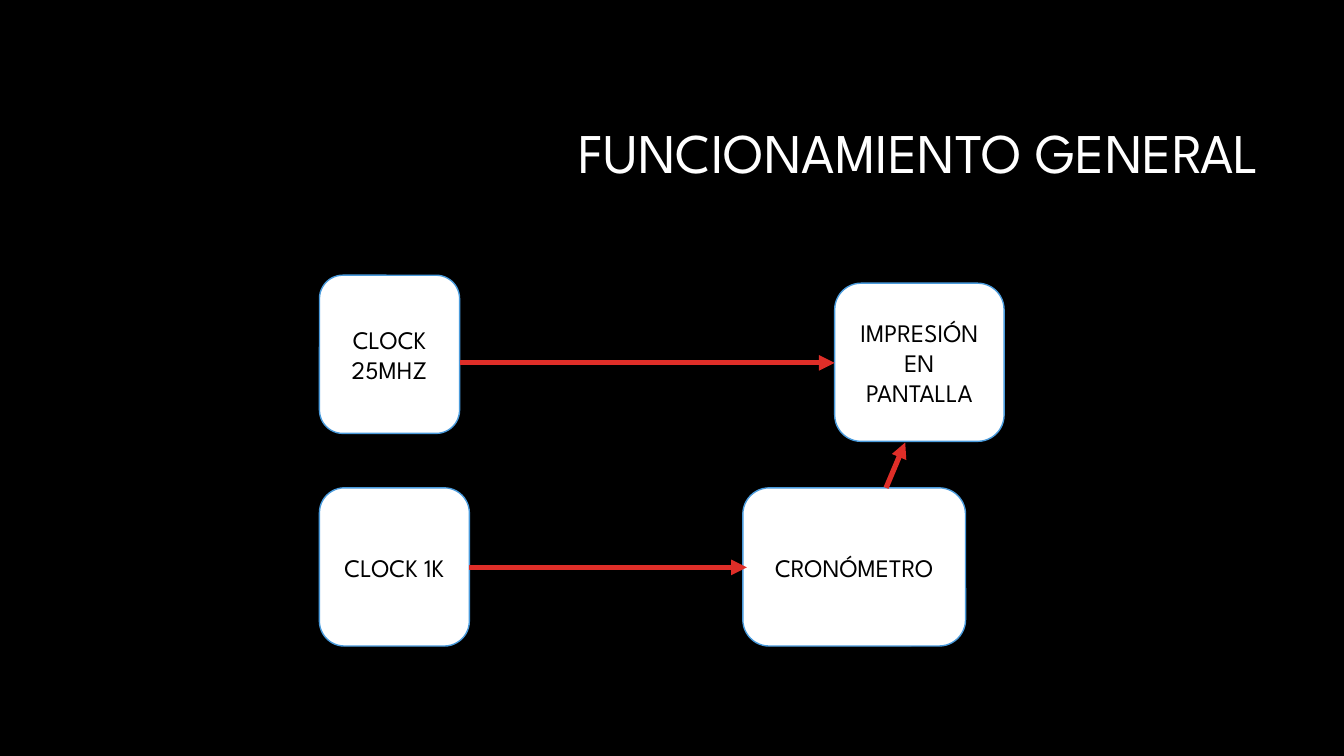
from lxml import etree
from pptx import Presentation
from pptx.dml.color import RGBColor
from pptx.enum.shapes import MSO_CONNECTOR, MSO_SHAPE
from pptx.enum.text import MSO_ANCHOR, PP_ALIGN
from pptx.oxml.ns import qn
from pptx.util import Pt

COLORS = {"black": "000000", "white": "FFFFFF", "blue": "4A9BDC", "red": "DF2E28"}
FONT = "League Spartan"
BOX_HEIGHT = 113


def rgb(name):
    return RGBColor.from_string(COLORS[name])


def write(sp, text, size=18, color="black", align=PP_ALIGN.CENTER, spacing=None):
    """Fill a shape with one paragraph per line of text."""
    tf = sp.text_frame
    tf.word_wrap = True
    tf.vertical_anchor = MSO_ANCHOR.MIDDLE
    for i, line in enumerate(text.split("\n")):
        p = tf.add_paragraph() if i else tf.paragraphs[0]
        p.alignment = align
        p.line_spacing = spacing
        r = p.add_run()
        r.text = line
        r.font.size = Pt(size)
        r.font.name = FONT
        r.font.color.rgb = rgb(color)


prs = Presentation()
prs.slide_width, prs.slide_height = Pt(960), Pt(540)
s = prs.slides.add_slide(prs.slide_layouts[6])
s.background.fill.solid()
s.background.fill.fore_color.rgb = rgb("black")

title = s.shapes.add_textbox(Pt(228.2), Pt(60.5), Pt(678.2), Pt(101.5))
write(title, "FUNCIONAMIENTO GENERAL", size=40, color="white",
      align=PP_ALIGN.RIGHT, spacing=0.9)

# text, left, top, width
boxes = [
    ("IMPRESIÓN\nEN\nPANTALLA", 596.2, 202.3, 121),
    ("CRONÓMETRO", 530.6, 348.5, 159.1),
    ("CLOCK 1K", 228.2, 348.5, 107.1),
    ("CLOCK\n25MHZ", 228.2, 196.6, 100.1),
]
for text, left, top, width in boxes:
    sp = s.shapes.add_shape(MSO_SHAPE.ROUNDED_RECTANGLE,
                            Pt(left), Pt(top), Pt(width), Pt(BOX_HEIGHT))
    sp.shadow.inherit = False
    sp.fill.solid()
    sp.fill.fore_color.rgb = rgb("white")
    sp.line.color.rgb = rgb("blue")
    sp.line.width = Pt(1)
    write(sp, text)

# start x, start y, end x, end y
arrows = [
    (328.3, 259.2, 596.2, 259.2),
    (335.2, 405.3, 533.5, 405.3),
    (632.9, 348.5, 646.6, 316.1),
]
for ends in arrows:
    arrow = s.shapes.add_connector(MSO_CONNECTOR.STRAIGHT, *map(Pt, ends))
    arrow.line.color.rgb = rgb("red")
    arrow.line.width = Pt(3.75)
    etree.SubElement(arrow.line._get_or_add_ln(), qn("a:tailEnd"), type="triangle")
    etree.SubElement(arrow._element.spPr, qn("a:effectLst"))

prs.save("out.pptx")
